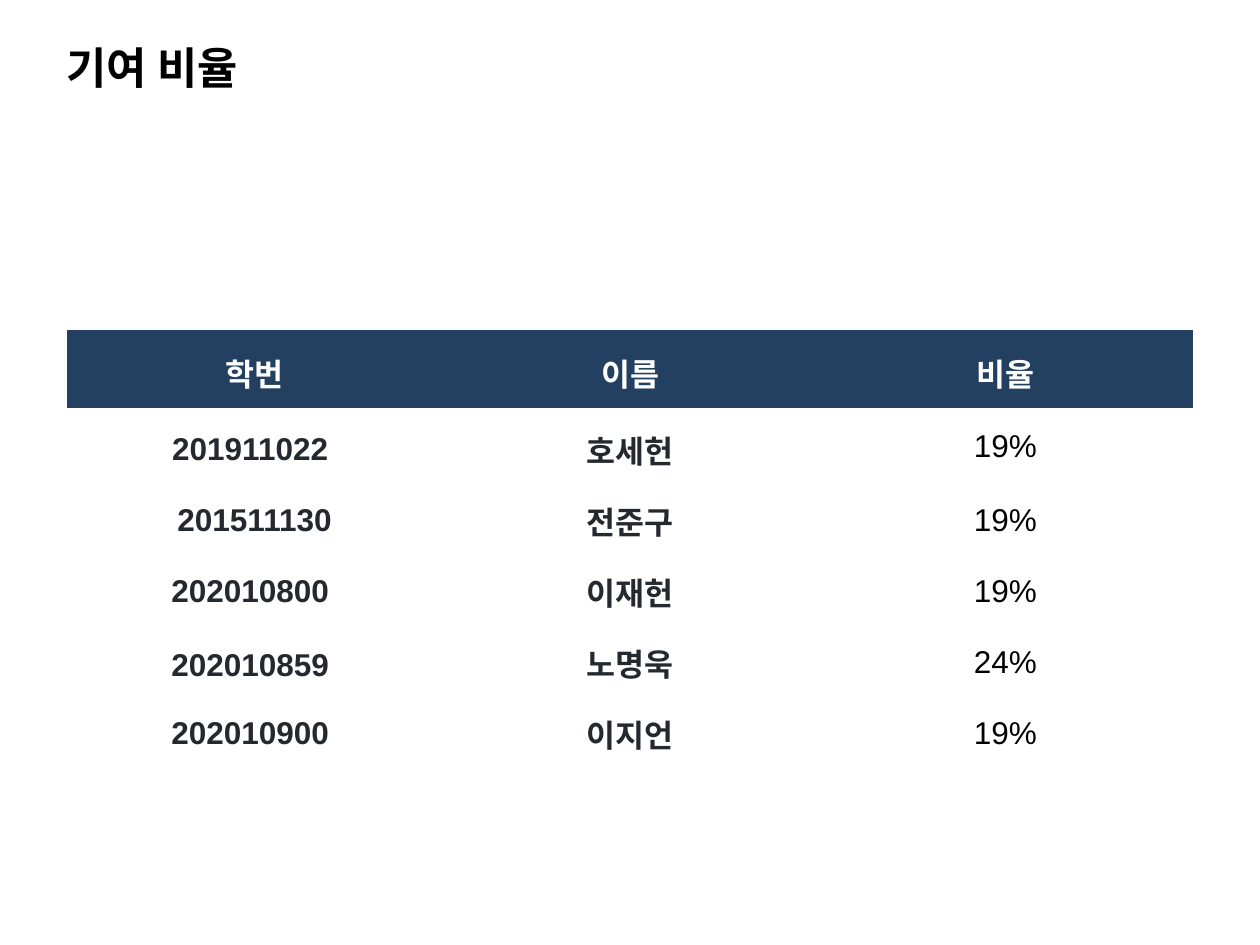
from dataclasses import dataclass

from pptx import Presentation
from pptx.dml.color import RGBColor as Rgb
from pptx.enum.text import MSO_ANCHOR as Anchor, PP_ALIGN as Align
from pptx.oxml.ns import qn
from pptx.util import Inches, Pt
from lxml.etree import SubElement


@dataclass(frozen=True)
class Theme:
    """Colours, fonts and sizes of the slide."""
    black: str = "000000"
    white: str = "FFFFFF"
    navy: str = "244061"
    ink: str = "24292F"
    title_font: str = "Calibri"
    table_font: str = "Arial"
    title_size: int = 25
    table_size: int = 18
    loose: float = 1.15


THEME = Theme()
WIDTH, HEIGHT = Inches(10), Inches(7.5)
HEADINGS = ["학번", "이름", "비율"]
MEMBERS = [
    ["201911022 ", "호세헌", "19%"],
    ["201511130", "전준구", "19%"],
    ["202010800 ", "이재헌", "19%"],
    ["202010859 ", "노명욱", "24%"],
    ["202010900 ", "이지언", "19%"],
]
LOOSE_CELLS = {(0, 0), (0, 1), (0, 2), (1, 0), (1, 1), (4, 0)}


def format_text(paragraph, font_name, size, color, bold, align):
    """Align a paragraph and format its runs."""
    paragraph.alignment = align
    for run in paragraph.runs:
        font = run.font
        font.name, font.size, font.bold = font_name, Pt(size), bold
        font.color.rgb = Rgb.from_string(color)


def add_title(slide, text):
    """Place and format the title placeholder."""
    title = slide.shapes.title
    title.left, title.top = int(WIDTH * 0.043), Inches(0.1)
    title.width, title.height = int(WIDTH * 0.874), Inches(0.87)
    frame = title.text_frame
    frame.text = text
    frame.vertical_anchor = Anchor.MIDDLE
    format_text(frame.paragraphs[0], THEME.title_font, THEME.title_size,
                THEME.black, True, Align.LEFT)


def clear_borders(cell):
    """Remove the four border lines of a cell."""
    properties = cell._tc.get_or_add_tcPr()
    for side in ("a:lnL", "a:lnR", "a:lnT", "a:lnB"):
        SubElement(SubElement(properties, qn(side)), qn("a:noFill"))


def fill_cell(cell, text, fill, color, bold, loose):
    """Write a centred cell on a plain fill."""
    clear_borders(cell)
    cell.fill.solid()
    cell.fill.fore_color.rgb = Rgb.from_string(fill)
    cell.vertical_anchor = Anchor.MIDDLE
    cell.margin_left = cell.margin_right = Inches(0.1)
    cell.margin_top = cell.margin_bottom = Inches(0.1)
    cell.text = text
    paragraph = cell.text_frame.paragraphs[0]
    if loose:
        paragraph.line_spacing = THEME.loose
    format_text(paragraph, THEME.table_font, THEME.table_size, color, bold, Align.CENTER)


def add_share_table(slide, headings, members):
    """Add the table of members and their shares."""
    rows = [headings, *members]
    columns = len(headings)
    table = slide.shapes.add_table(
        len(rows), columns, Inches(0.53), Inches(2.62),
        Inches(2.98) * columns, Inches(0.25) * len(rows)).table
    table.first_row = table.horz_banding = False
    for row, texts in enumerate(rows):
        for column, text in enumerate(texts):
            is_share = row > 0 and column == columns - 1
            fill = THEME.navy if row == 0 else THEME.white
            color = THEME.white if row == 0 else THEME.black if is_share else THEME.ink
            fill_cell(table.cell(row, column), text, fill, color,
                      not is_share, (row, column) in LOOSE_CELLS)


def main():
    """Build and save the slide."""
    deck = Presentation()
    deck.slide_width, deck.slide_height = WIDTH, HEIGHT
    slide = deck.slides.add_slide(deck.slide_layouts[5])
    add_title(slide, "기여 비율")
    add_share_table(slide, HEADINGS, MEMBERS)
    deck.save("out.pptx")


if __name__ == "__main__":
    main()
